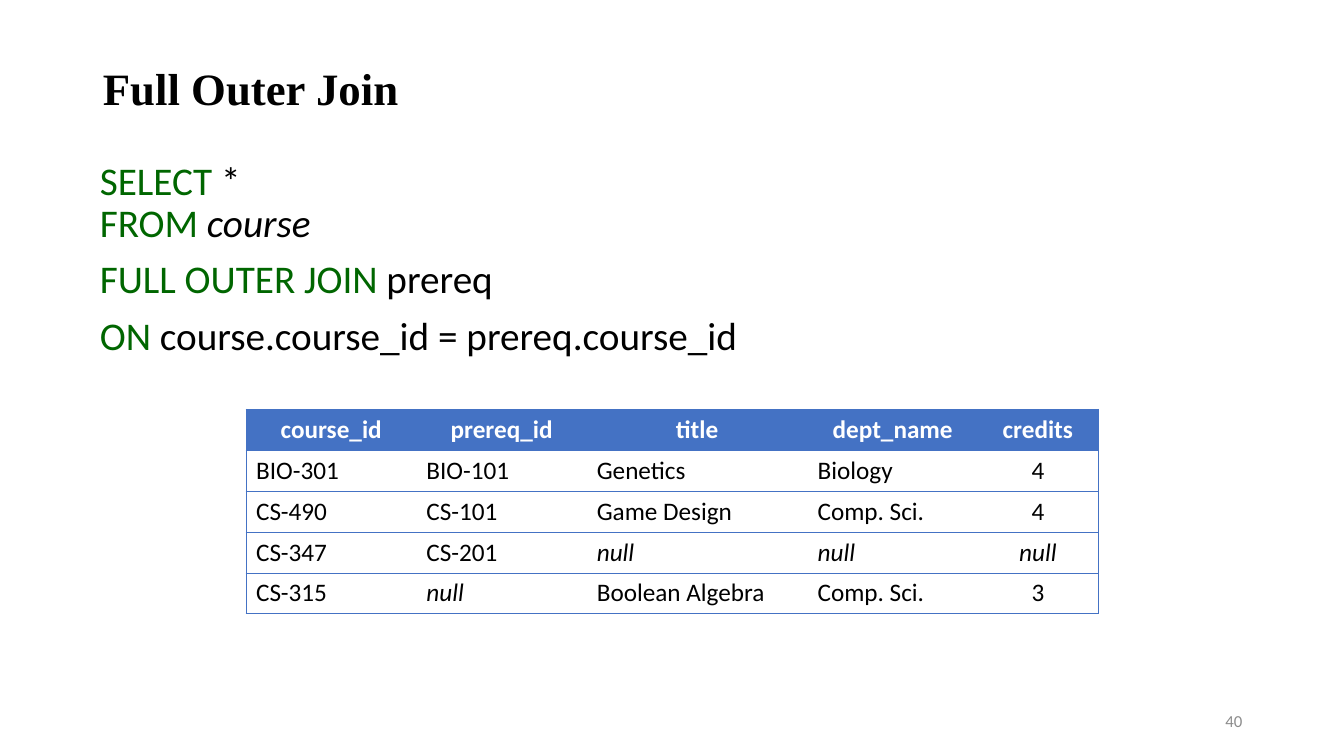
from lxml.etree import SubElement
from pptx import Presentation
from pptx.dml.color import RGBColor
from pptx.enum.text import MSO_ANCHOR as Anchor, MSO_AUTO_SIZE as AutoSize, PP_ALIGN as Align
from pptx.oxml.ns import qn
from pptx.util import Inches, Pt

BLACK = RGBColor(0x00, 0x00, 0x00)
WHITE = RGBColor(0xFF, 0xFF, 0xFF)
GREEN = RGBColor(0x00, 0x66, 0x00)
BLUE = RGBColor(0x44, 0x72, 0xC4)
GRAY = RGBColor(0x8C, 0x8C, 0x8C)

QUERY = [
    [[("SELECT ", GREEN, False), ("*", BLACK, False)],
     [("FROM ", GREEN, False), ("course", BLACK, True)]],
    [[("FULL OUTER JOIN ", GREEN, False), ("prereq", BLACK, False)]],
    [[("ON ", GREEN, False), ("course.course_id = prereq.course_id", BLACK, False)]],
]
COURSES = [
    ["course_id", "prereq_id", "title", "dept_name", "credits"],
    ["BIO-301", "BIO-101", "Genetics", "Biology", "4"],
    ["CS-490", "CS-101", "Game Design", "Comp. Sci.", "4"],
    ["CS-347", "CS-201", "null", "null", "null"],
    ["CS-315", "null", "Boolean Algebra", "Comp. Sci.", "3"],
]
COLUMN_WIDTHS = [1.69, 1.69, 2.19, 1.69, 1.19]
ROW_HEIGHT = 0.406


def write(para, text, size=18, color=BLACK, font="Calibri", bold=False, italic=False):
    span = para.add_run()
    span.text = text
    span.font.name = font
    span.font.size = Pt(size)
    span.font.color.rgb = color
    span.font.bold = bold
    span.font.italic = italic


def place(box, left, top, width, height, anchor):
    box.left, box.top = Inches(left), Inches(top)
    box.width, box.height = Inches(width), Inches(height)
    frame = box.text_frame
    frame.word_wrap = True
    frame.auto_size = AutoSize.NONE
    frame.vertical_anchor = anchor
    return frame


def remove_bullet(para):
    properties = para._p.get_or_add_pPr()
    properties.set("marL", "0")
    properties.set("indent", "0")
    SubElement(properties, qn("a:buNone"))


def add_title(page, text):
    frame = place(page.shapes.title, 0.92, 0.4, 11.5, 1, Anchor.MIDDLE)
    para = frame.paragraphs[0]
    para.alignment = Align.LEFT
    para.line_spacing = 0.9
    write(para, text, size=32, font="Times New Roman", bold=True)


def add_query(page):
    frame = place(page.placeholders[1], 0.89, 1.55, 11.5, 5.44, Anchor.TOP)
    for index, lines in enumerate(QUERY):
        para = frame.add_paragraph() if index else frame.paragraphs[0]
        remove_bullet(para)
        para.line_spacing = 0.9
        para.space_before = Pt(10 if index else 0)
        for number, line in enumerate(lines):
            if number:
                para.add_line_break()
            for text, color, italic in line:
                write(para, text, size=28, color=color, italic=italic)


def set_borders(cell, visible):
    properties = cell._tc.get_or_add_tcPr()
    for side in ("lnL", "lnR", "lnT", "lnB"):
        line = SubElement(properties, qn(f"a:{side}"), w=str(Pt(0.5)))
        if side in visible:
            fill = SubElement(line, qn("a:solidFill"))
            SubElement(fill, qn("a:srgbClr"), val=str(BLUE))
        else:
            SubElement(line, qn("a:noFill"))


def add_course_table(page):
    last = len(COLUMN_WIDTHS) - 1
    table = page.shapes.add_table(
        len(COURSES), len(COLUMN_WIDTHS), Inches(2.44), Inches(4.06),
        Inches(sum(COLUMN_WIDTHS)), Inches(ROW_HEIGHT * len(COURSES))).table
    table.horz_banding = False
    for column, width in zip(table.columns, COLUMN_WIDTHS):
        column.width = Inches(width)
    for row_index, values in enumerate(COURSES):
        header = row_index == 0
        table.rows[row_index].height = Inches(ROW_HEIGHT)
        for column_index, text in enumerate(values):
            cell = table.cell(row_index, column_index)
            visible = {"lnT", "lnB"}
            if column_index == 0:
                visible.add("lnL")
            if column_index == last:
                visible.add("lnR")
            set_borders(cell, visible)
            cell.fill.solid()
            cell.fill.fore_color.rgb = BLUE if header else WHITE
            para = cell.text_frame.paragraphs[0]
            para.alignment = Align.CENTER if header or column_index == last else Align.LEFT
            write(para, text, color=WHITE if header else BLACK,
                  bold=header, italic=text == "null")


def add_page_number(page, text):
    box = page.shapes.add_textbox(0, 0, 0, 0)
    para = place(box, 9.42, 6.95, 3, 0.4, Anchor.MIDDLE).paragraphs[0]
    para.alignment = Align.RIGHT
    write(para, text, size=12, color=GRAY)


def main():
    deck = Presentation()
    deck.slide_width, deck.slide_height = Inches(13.33), Inches(7.5)
    page = deck.slides.add_slide(deck.slide_layouts[1])
    add_title(page, "Full Outer Join")
    add_query(page)
    add_course_table(page)
    add_page_number(page, "40")
    deck.save("out.pptx")


if __name__ == "__main__":
    main()
